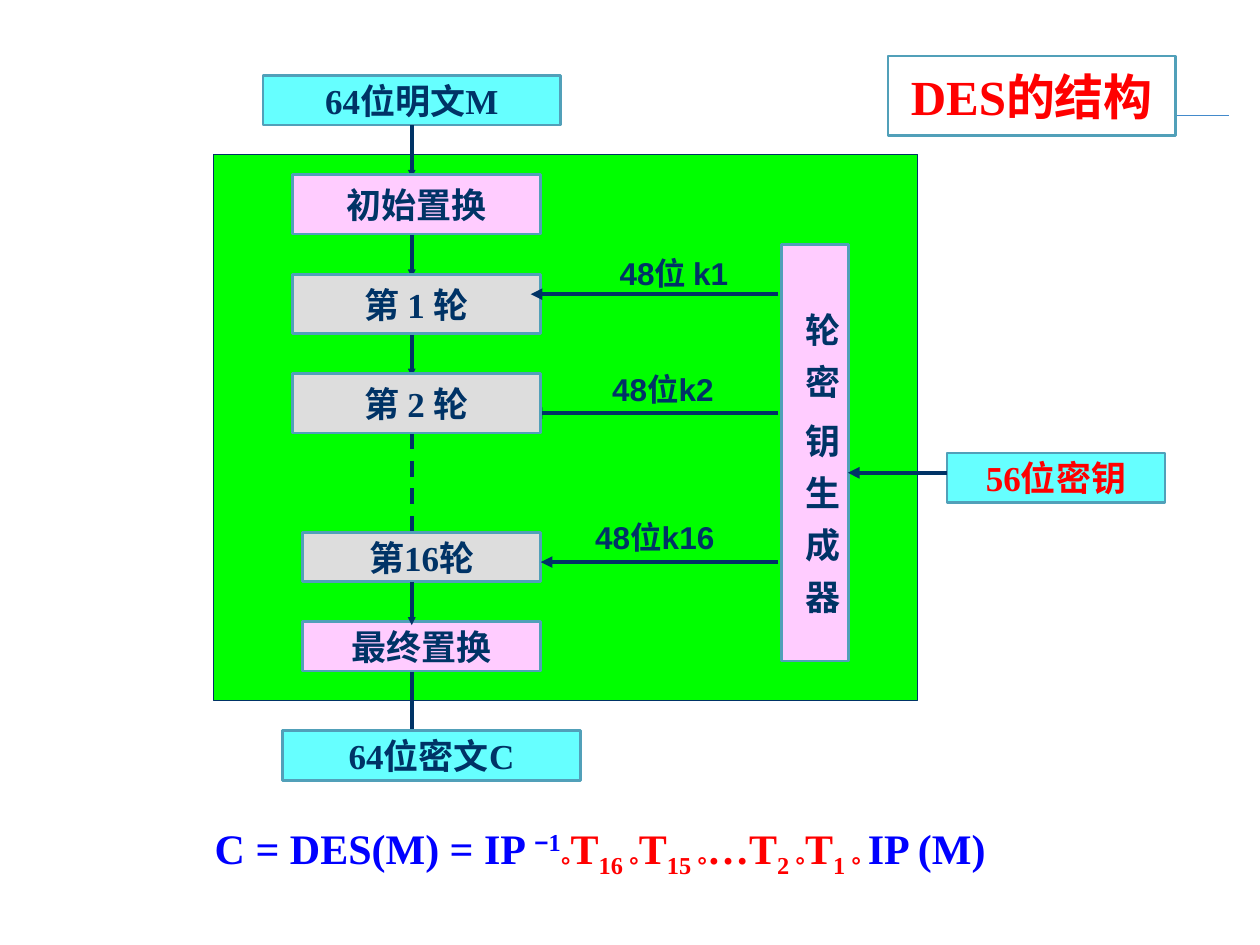
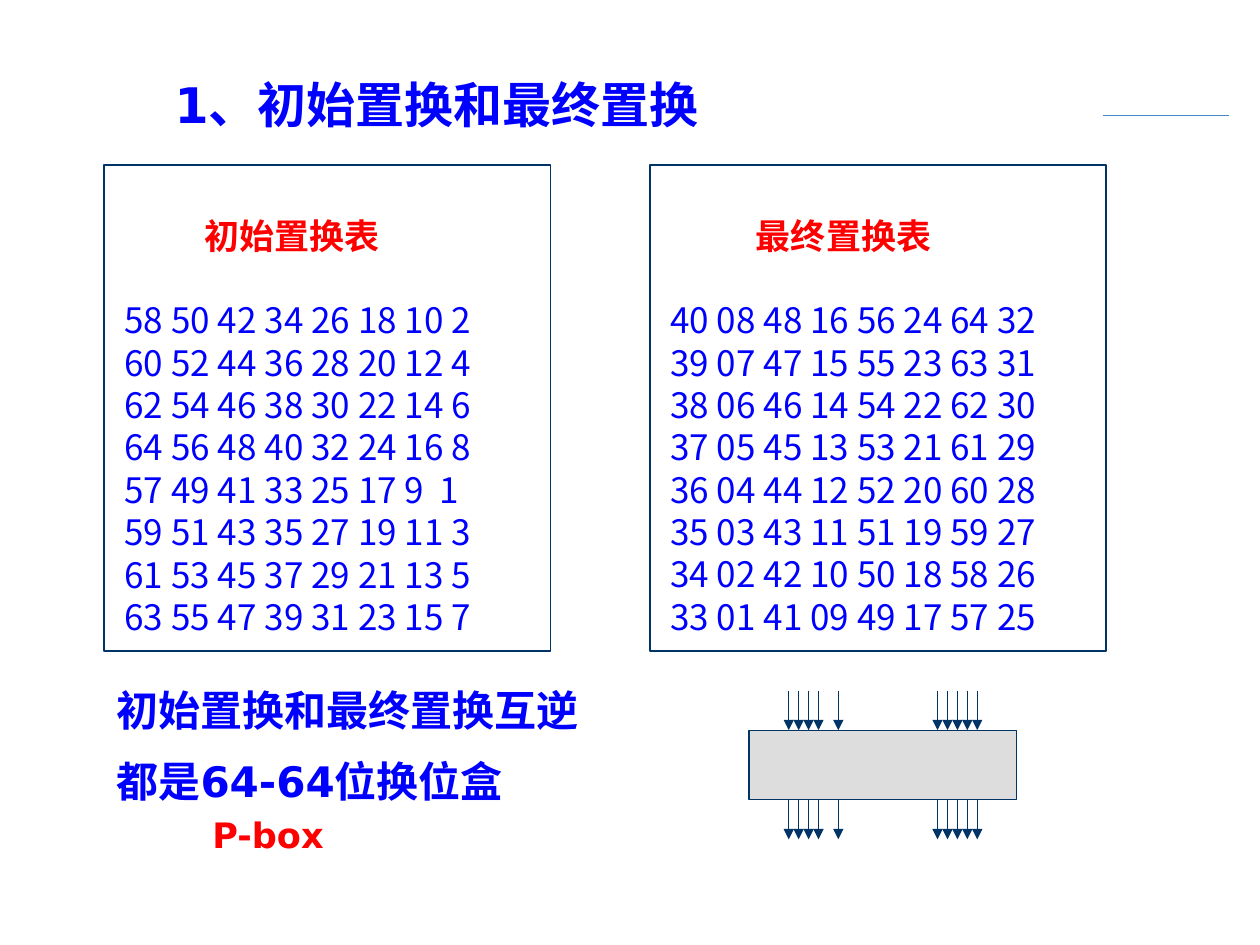
from lxml import etree
from pptx import Presentation
from pptx import util as u
from pptx.dml.color import RGBColor
from pptx.enum import dml, shapes, text
from pptx.oxml import ns

COLORS = {
    "navy": "003366", "teal": "51A0B9", "cyan": "66FFFF", "pink": "FFCCFF",
    "gray": "DDDDDD", "green": "00FF00", "red": "FF0000", "blue": "0000FF",
    "white": "FFFFFF", "rule": "438ACB",
}
SERIF, SANS, WIDE, HAN = "Times New Roman", "Arial", "DejaVu Sans", "Noto Sans CJK SC"
TIGHT = (0.2, 0.1, 0.2, 0.1)
LOOSE = (0.25, 0.13, 0.25, 0.13)

INITIAL_TABLE = [
    "58 50 42 34 26 18 10 2", "60 52 44 36 28 20 12 4",
    "62 54 46 38 30 22 14 6", "64 56 48 40 32 24 16 8",
    "57 49 41 33 25 17 9\t1", "59 51 43 35 27 19 11 3",
    "61 53 45 37 29 21 13 5", "63 55 47 39 31 23 15 7",
]
FINAL_TABLE = [
    "40 08 48 16 56 24 64 32", "39 07 47 15 55 23 63 31",
    "38 06 46 14 54 22 62 30", "37 05 45 13 53 21 61 29",
    "36 04 44 12 52 20 60 28", "35 03 43 11 51 19 59 27",
    "34 02 42 10 50 18 58 26", "33 01 41 09 49 17 57 25",
]


def rgb(name):
    return RGBColor.from_string(COLORS[name])


def place(shape, box):
    shape.left, shape.top, shape.width, shape.height = (u.Cm(value) for value in box)


def paint(shape, fill, line, width):
    if fill:
        shape.fill.solid()
        shape.fill.fore_color.rgb = rgb(fill)
    else:
        shape.fill.background()
    shape.line.color.rgb = rgb(line)
    shape.line.width = u.Pt(width)


def set_frame(shape, insets=LOOSE, anchor=text.MSO_ANCHOR.TOP, wrap=True):
    frame = shape.text_frame
    frame.auto_size = text.MSO_AUTO_SIZE.NONE
    frame.word_wrap = wrap
    frame.vertical_anchor = anchor
    (frame.margin_left, frame.margin_top,
     frame.margin_right, frame.margin_bottom) = (u.Cm(value) for value in insets)
    return frame


def add_span(para, words, size, font, color, bold=True, **extras):
    span = para.add_run()
    span.text = words
    span.font.size = u.Pt(size)
    span.font.bold = bold
    span.font.name = font
    span.font.color.rgb = rgb(color)
    properties = span.font._element
    for key, value in extras.items():
        properties.set(key, str(value))
    etree.SubElement(properties, ns.qn("a:ea"), typeface=HAN)


def add_box(page, box, fill, line="teal", width=1.5):
    shape = page.shapes.add_shape(shapes.MSO_SHAPE.RECTANGLE, *(u.Cm(value) for value in box))
    shape.shadow.inherit = False
    paint(shape, fill, line, width)
    return shape


def label_box(shape, words, color="navy", size=20):
    para = set_frame(shape, TIGHT, text.MSO_ANCHOR.MIDDLE, False).paragraphs[0]
    para.alignment = text.PP_ALIGN.CENTER
    add_span(para, words, size, SERIF, color)
    return shape


def add_text(page, box, words, size, font, color, anchor=text.MSO_ANCHOR.TOP):
    shape = page.shapes.add_textbox(*(u.Cm(value) for value in box))
    frame = set_frame(shape, LOOSE, anchor)
    add_span(frame.paragraphs[0], words, size, font, color)
    return frame


def add_line(page, start, end, width=2.25, color="navy", head="med", dashed=False):
    line = page.shapes.add_connector(
        shapes.MSO_CONNECTOR.STRAIGHT, *(u.Cm(value) for value in (*start, *end)))
    line.line.color.rgb = rgb(color)
    line.line.width = u.Pt(width)
    if dashed:
        line.line.dash_style = dml.MSO_LINE.DASH
    if head:
        etree.SubElement(line.line._get_or_add_ln(), ns.qn("a:tailEnd"),
                         type="triangle", w=head, len=head)
    etree.SubElement(line._element.spPr, ns.qn("a:effectLst"))
    return line


def add_master_rule(deck, page):
    rule = add_line(page, (22.23, 2.33), (24.77, 2.33), 0.75, "rule", head=None)
    rule._element.nvCxnSpPr.cNvPr.set("id", "99")
    deck.slide_master.shapes._spTree.append(rule._element)


def add_key_schedule(page, box):
    left, top, width, height = box
    generator = add_box(page, box, "pink")
    frame = set_frame(generator, (0.13, 1.37, 0.13, 0.25))
    frame._txBody.bodyPr.set("vert", "eaVert")
    para = frame.paragraphs[0]
    para.alignment = text.PP_ALIGN.LEFT
    for words, spacing in [("轮", 970), ("密", 1370), ("钥生成器", 970)]:
        add_span(para, words, 20, SANS, "navy", spc=spacing)

    for words, label_x, label_y, line_y, end_x in [
            ("48位 k1", -3.52, 0.06, 1.0, 10.7), ("48位k2", -3.67, 2.4, 3.4, 10.7),
            ("48位k16", -4.01, 5.39, 6.4, 10.9)]:
        add_line(page, (left - 0.07, top + line_y), (end_x, top + line_y))
        add_text(page, (left + label_x, top + label_y, 3.6, 1.02), words, 18, SANS, "navy")

    label_box(add_box(page, (left + 3.33, top + 4.2, 4.4, 1), "cyan"), "56位密钥", "red")
    add_line(page, (left + 3.33, top + 4.6), (left + width - 0.02, top + 4.6))


def add_cipher_flow(page, box):
    left, top, width, height = box
    add_box(page, box, "green", "navy", 0.75)
    axis = left + 4

    def stage(words, x, y, w, h, fill):
        return label_box(add_box(page, (left + x, top + y, w, h), fill), words)

    plain = stage("64位明文M", 1, -1.6, 6, 1, "cyan")
    for start, end, dashed in [(-0.6, 0.46, False), (1.6, 2.47, False), (3.61, 4.47, False),
                               (5.62, 7.8, True), (10.39, 11.82, False)]:
        arrow = add_line(page, (axis, top + start), (axis, top + end), head="sm", dashed=dashed)
        if start < 0:
            arrow.begin_connect(plain, 2)
    stage("初始置换", 1.6, 0.4, 5, 1.2, "pink")
    stage("第 1 轮", 1.6, 2.41, 5, 1.2, "gray")
    stage("第16轮", 1.8, 7.61, 4.8, 1, "gray")
    add_key_schedule(page, (left + 11.46, top + 1.81, 1.35, 8.4))
    stage("第 2 轮", 1.6, 4.41, 5, 1.2, "gray")
    stage("最终置换", 1.8, 9.41, 4.8, 1, "pink")
    stage("64位密文C", 1.4, 11.61, 6, 1, "cyan")
    add_line(page, (axis, top + 8.61), (axis, top + 9.48), head="sm")


def add_formula(page, box):
    shape = page.shapes.add_textbox(*(u.Cm(value) for value in box))
    para = set_frame(shape, (0.44, 0.1, 0.2, 0.1)).paragraphs[0]
    para.line_spacing = 1.3
    add_span(para, "C = DES(M) = IP ", 24, SERIF, "blue")
    add_span(para, "−", 24, SANS, "blue", baseline=30000)
    add_span(para, "1", 24, SERIF, "blue", baseline=30000)
    add_span(para, "°", 24, SANS, "red", baseline=-25000)
    for term, index, ring in [("T", "16 ", "°"), ("T", "15 ", "°"),
                              ("…T", "2 ", "°"), ("T", "1 ", "° ")]:
        add_span(para, term, 24, SERIF, "red")
        add_span(para, index, 24, SERIF, "red", baseline=-25000)
        add_span(para, ring, 24, SANS, "red", baseline=-25000)
    add_span(para, "IP (M)", 24, SERIF, "blue")


def build_structure(page):
    title = page.shapes.title
    place(title, (17.9, 1.13, 5.8, 1.6))
    paint(title, "white", "teal", 1.5)
    label_box(title, "DES的结构", "red", 28)
    add_cipher_flow(page, (4.3, 3.12, 14.2, 11))
    add_formula(page, (3.89, 16.13, 18, 1.73))


def fill_permutation(shape, heading, rows, heading_indent):
    paint(shape, None, "navy", 1)
    frame = set_frame(shape, (0.41, 1.15, 0.25, 0.13))
    for number, words in enumerate([heading, *rows]):
        para = frame.add_paragraph() if number else frame.paragraphs[0]
        is_heading = number == 0
        properties = para._p.get_or_add_pPr()
        properties.set("marL", str(u.Cm(heading_indent if is_heading else 0)))
        properties.set("indent", "0")
        etree.SubElement(properties, ns.qn("a:buNone"))
        if "\t" in words:
            tabs = etree.SubElement(properties, ns.qn("a:tabLst"))
            etree.SubElement(tabs, ns.qn("a:tab"), pos=str(u.Cm(6.33)), algn="l")
        para.alignment = text.PP_ALIGN.LEFT
        para.line_spacing = 0.8
        para.space_before = u.Pt({0: 0, 1: 29.2}.get(number, 5))
        add_span(para, words, 20, HAN, "red" if is_heading else "blue", is_heading)


def add_p_box(page, box):
    left, top, width, height = box
    offsets = [0.8, 1, 1.2, 1.4, 1.8] + [3.8 + 0.2 * step for step in range(5)]
    for start in (top - 0.8, top + height):
        for offset in offsets:
            add_line(page, (left + offset, start), (left + offset, start + 0.8), 0.75)
    add_box(page, box, "gray", "navy", 0.75)


def add_remarks(page, box):
    left, top, width, height = box
    middle = text.MSO_ANCHOR.MIDDLE
    add_text(page, (left, top, width, 1.57), "初始置换和最终置换互逆", 24, WIDE, "blue", middle)
    frame = add_text(page, (left, top + 1.6, width, height - 1.6),
                     "都是64-64位换位盒", 24, WIDE, "blue", middle)
    para = frame.add_paragraph()
    para._p.get_or_add_pPr().set("marL", str(u.Cm(1.93)))
    para.space_before = u.Pt(4)
    add_span(para, "P-box", 20, WIDE, "red")


def build_permutations(page):
    title = page.shapes.title
    place(title, (1.9, 1.3, 19, 1.57))
    para = set_frame(title, (1.62, 0.13, 0.25, 0.13), text.MSO_ANCHOR.MIDDLE).paragraphs[0]
    para.alignment = text.PP_ALIGN.LEFT
    add_span(para, "1、初始置换和最终置换", 28, WIDE, "blue")
    body = page.placeholders[1]
    place(body, (2.1, 3.33, 9, 9.8))
    fill_permutation(body, "初始置换表", INITIAL_TABLE, 1.61)
    final = add_box(page, (13.1, 3.33, 9.2, 9.8), None)
    fill_permutation(final, "最终置换表", FINAL_TABLE, 1.73)
    add_remarks(page, (2.1, 13.53, 11.2, 3.81))
    add_p_box(page, (15.1, 14.72, 5.4, 1.4))


def main():
    deck = Presentation()
    deck.slide_width, deck.slide_height = u.Cm(25.4), u.Cm(19.05)
    structure = deck.slides.add_slide(deck.slide_layouts[5])
    add_master_rule(deck, structure)
    build_structure(structure)
    build_permutations(deck.slides.add_slide(deck.slide_layouts[1]))
    deck.save("out.pptx")


if __name__ == "__main__":
    main()
